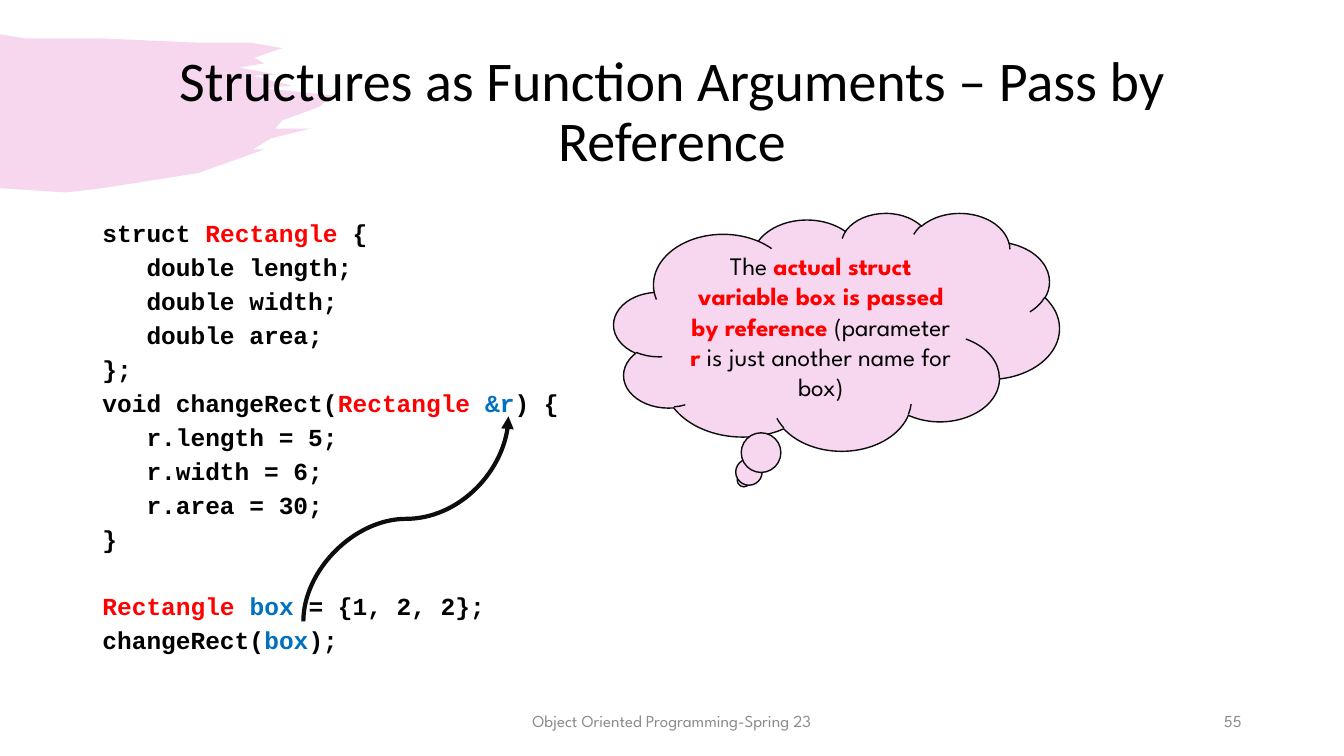
from pptx import Presentation
from pptx import util as u
from pptx.dml.color import RGBColor
from pptx.enum import shapes, text
from pptx.oxml import parse_xml
from pptx.oxml.ns import nsdecls, qn
from lxml import etree

COLORS = {"black": "000000", "red": "FF0000", "blue": "0070C0", "gray": "8C8C8C",
          "ink": "0D0D0D", "pink": "F7D7EF", "brush": "D739AE"}
CODE_FONT, NOTE_FONT, TITLE_FONT = "Courier New", "League Spartan", "Calibri"
CODE_SIZE = 17.5
INDENT = 3 * 0.6 * CODE_SIZE  # three monospaced characters
CODE_GAP, BLANK_LINE = 10.7, 23.6

# Runs of each code line as (text, colour); a tab indents, an empty line adds space
CODE = [
    [("struct ", "black"), ("Rectangle", "red"), (" {", "black")],
    [("\tdouble length;", "black")],
    [("\tdouble width;", "black")],
    [("\tdouble area;", "black")],
    [("};", "black")],
    [("void changeRect(", "black"), ("Rectangle ", "red"), ("&r", "blue"), (") {", "black")],
    [("\tr.length = 5;", "black")],
    [("\tr.width = 6;", "black")],
    [("\tr.area = 30;", "black")],
    [("}", "black")],
    [],
    [("Rectangle ", "red"), ("box ", "blue"), ("= {1, 2, 2};", "black")],
    [("changeRect(", "black"), ("box", "blue"), (");", "black")],
]
NOTE = [("The ", "black"), ("actual struct variable box is passed by reference", "red"),
        (" (parameter ", "black"), ("r", "red"), (" is just another name for box)", "black")]

# Brush outline in points: smooth top, ragged right end, smooth bottom
BRUSH = [(0, 24), (18, 27), (73, 27), (140, 30), (179, 30), (202, 34),
         (182, 41), (189, 45), (171, 48), (198, 53), (181, 54), (197, 58),
         (209, 61), (189, 63), (238, 68), (229, 76), (216, 81), (202, 86),
         (197, 92), (222, 92), (194, 99), (181, 107), (189, 107),
         (142, 124), (73, 135), (47, 138), (0, 135)]


def rgb(name):
    return RGBColor.from_string(COLORS[name])


def place(sp, box):
    sp.left, sp.top, sp.width, sp.height = map(u.Pt, box)


def add_run(p, words, font, size, color, bold=False):
    r = p.add_run()
    r.text = words
    r.font.name, r.font.size, r.font.bold = font, u.Pt(size), bold
    r.font.color.rgb = rgb(color)


def add_brush(s, box):
    builder = s.shapes.build_freeform(*BRUSH[0], scale=u.Pt(1))
    builder.add_line_segments(BRUSH[1:], close=True)
    sp = builder.convert_to_shape()
    place(sp, box)
    sp.shadow.inherit = False
    sp.fill.solid()
    sp.fill.fore_color.rgb = rgb("brush")
    color = sp._element.spPr.find(qn("a:solidFill"))[0]
    etree.SubElement(color, qn("a:alpha"), val="20000")
    sp.line.fill.background()
    # Send behind the placeholders
    sp._element.getparent().insert(2, sp._element)


def add_title(s, box):
    sp = s.shapes.title
    place(sp, box)
    tf = sp.text_frame
    tf.auto_size, tf.vertical_anchor = text.MSO_AUTO_SIZE.NONE, text.MSO_ANCHOR.MIDDLE
    p = tf.paragraphs[0]
    p.alignment, p.line_spacing = text.PP_ALIGN.CENTER, 0.9
    add_run(p, "Structures as Function Arguments – Pass by Reference", TITLE_FONT, 40, "black")


def add_code(s, box):
    sp = s.placeholders[1]
    place(sp, box)
    tf = sp.text_frame
    tf.auto_size, tf.vertical_anchor = text.MSO_AUTO_SIZE.NONE, text.MSO_ANCHOR.TOP
    p, gap = tf.paragraphs[0], CODE_GAP
    for runs in CODE:
        if not runs:
            gap += BLANK_LINE
            continue
        if p is None:
            p = tf.add_paragraph()
        p.line_spacing, p.space_before = 0.65, u.Pt(gap)
        pPr = p._p.get_or_add_pPr()
        level = runs[0][0].count("\t")
        pPr.set("marL", str(int(u.Pt(level * INDENT))))
        pPr.set("indent", "0")
        etree.SubElement(pPr, qn("a:buNone"))
        for words, color in runs:
            add_run(p, words.lstrip("\t"), CODE_FONT, CODE_SIZE, color, True)
        p, gap = None, CODE_GAP


def add_footer(s, box, words, align):
    tf = s.shapes.add_textbox(*map(u.Pt, box)).text_frame
    tf.word_wrap, tf.vertical_anchor = True, text.MSO_ANCHOR.MIDDLE
    p = tf.paragraphs[0]
    p.alignment = align
    add_run(p, words, NOTE_FONT, 12, "gray")


def add_arrow(s, box):
    """S-curve rising from the lower left to the upper right of the box."""
    left, top, width, height = box
    line = s.shapes.add_connector(
        shapes.MSO_CONNECTOR.CURVE,
        *map(u.Pt, (left + width, top + height, left, top)))
    line.line.color.rgb, line.line.width = rgb("ink"), u.Pt(3)
    spPr = line._element.spPr
    spPr.find(qn("a:xfrm")).set("rot", str(90 * 60000))
    etree.SubElement(spPr.find(qn("a:ln")), qn("a:tailEnd"), type="triangle")
    spPr.append(parse_xml(f"<a:effectLst {nsdecls('a')}/>"))


def add_note(s, box):
    sp = s.shapes.add_shape(shapes.MSO_SHAPE.CLOUD_CALLOUT, *map(u.Pt, box))
    sp.shadow.inherit = False
    sp.fill.solid()
    sp.fill.fore_color.rgb = rgb("pink")
    sp.line.color.rgb, sp.line.width = rgb("ink"), u.Pt(1)
    tf = sp.text_frame
    tf.word_wrap, tf.vertical_anchor = True, text.MSO_ANCHOR.MIDDLE
    p = tf.paragraphs[0]
    p.alignment = text.PP_ALIGN.CENTER
    for words, color in NOTE:
        add_run(p, words, NOTE_FONT, 18, color, color == "red")


def main():
    prs = Presentation()
    prs.slide_width, prs.slide_height = u.Pt(960), u.Pt(540)
    s = prs.slides.add_slide(prs.slide_layouts[1])
    add_brush(s, (0, 24.5, 237.6, 113))
    add_title(s, (66, 28.75, 828, 104.4))
    add_code(s, (66, 158.4, 828, 327.6))
    add_footer(s, (318, 500.5, 324, 28.75), "Object Oriented Programming-Spring 23",
               text.PP_ALIGN.CENTER)
    add_footer(s, (678, 500.5, 216, 28.75), "55", text.PP_ALIGN.RIGHT)
    add_arrow(s, (216.7, 297.4, 146.5, 146.5))
    add_note(s, (438.5, 151.9, 318.2, 169.9))
    prs.save("out.pptx")


if __name__ == "__main__":
    main()
